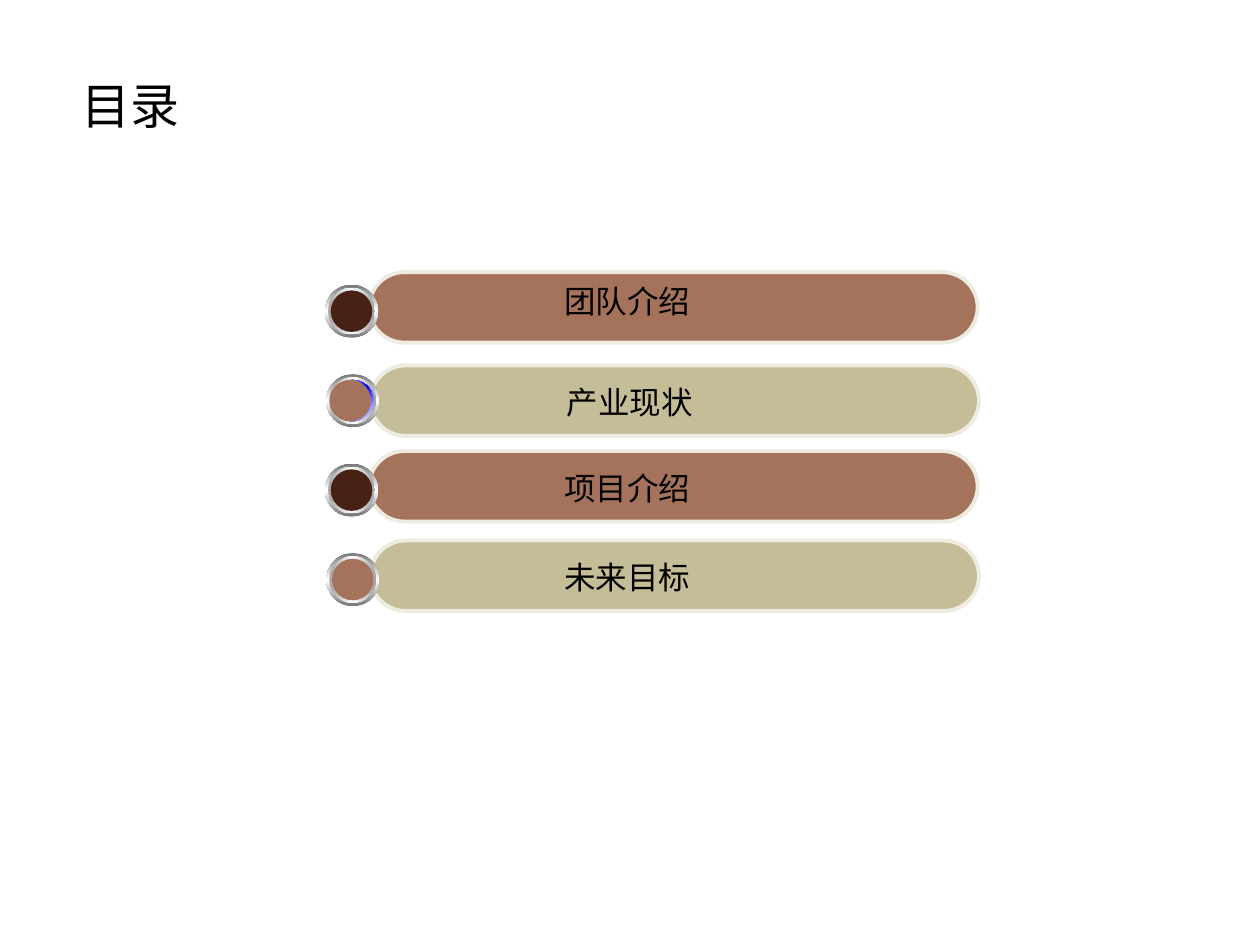
import pptx
import pptx.util
import pptx.dml.color
import pptx.enum.shapes
import pptx.enum.text
import pptx.oxml
import pptx.oxml.ns
import lxml.etree

Inches = pptx.util.Inches
RGBColor = pptx.dml.color.RGBColor
Shapes = pptx.enum.shapes.MSO_SHAPE

BLACK = RGBColor(0x00, 0x00, 0x00)
WHITE = RGBColor(0xFF, 0xFF, 0xFF)
BLUE = RGBColor(0x00, 0x00, 0xFF)
CREAM = RGBColor(0xEE, 0xEC, 0xE1)
CLAY = RGBColor(0xA5, 0x73, 0x5C)
SAND = RGBColor(0xC4, 0xBD, 0x97)
COFFEE = RGBColor(0x47, 0x22, 0x14)
DARK_GREY = RGBColor(0x76, 0x76, 0x76)
LIGHT_GREY = RGBColor(0xA2, 0xA2, 0xA2)
FONT = "Noto Sans CJK SC"

TITLE = "目录"
ENTRIES = [
    {"text": "团队介绍", "label": (4.38, 2.19, 1.2, 0.7), "bar": CLAY, "core": COFFEE},
    {"text": "产业现状", "label": (4.4, 2.99, 1.2, 0.4), "bar": SAND, "core": CLAY,
     "bar_drop": 0.03, "core_shift": -0.02, "glow": True},
    {"text": "项目介绍", "label": (4.38, 3.67, 1.2, 0.4), "bar": CLAY, "core": COFFEE},
    {"text": "未来目标", "label": (4.38, 4.38, 1.2, 0.4), "bar": SAND, "core": CLAY},
]
FIRST_TOP, ROW_STEP, EVEN_SHIFT = 2.16, 0.71, 0.01
BAR_LEFT, BAR_WIDTH, BAR_HEIGHT = 2.93, 4.83, 0.56
KNOB_LEFT, KNOB_DROP = 2.58, 0.1
KNOB_SIZE, RING_SIZE, CORE_SIZE = 0.42, 0.37, 0.33


def add_text(page, text, area, size, wrap=False):
    box = page.shapes.add_textbox(*map(Inches, area))
    frame = box.text_frame
    frame.word_wrap = wrap
    frame.auto_size = pptx.enum.text.MSO_AUTO_SIZE.NONE
    span = frame.paragraphs[0].add_run()
    span.text = text
    span.font.size = pptx.util.Pt(size)
    span.font.name = FONT
    span.font.color.rgb = BLACK
    east_asian = lxml.etree.SubElement(span.font._element, pptx.oxml.ns.qn("a:ea"))
    east_asian.set("typeface", FONT)


def set_gradient(shape, edge, middle, angle):
    shape.fill.gradient()
    gradient = shape._element.spPr.find(pptx.oxml.ns.qn("a:gradFill"))
    stops = "".join(
        f'<a:gs pos="{share * 1000}"><a:srgbClr val="{color}"/></a:gs>'
        for share, color in ((0, edge), (50, middle), (100, edge)))
    gradient.getparent().replace(gradient, pptx.oxml.parse_xml(
        f'<a:gradFill {pptx.oxml.ns.nsdecls("a")} rotWithShape="1"><a:gsLst>{stops}</a:gsLst>'
        f'<a:lin ang="{angle * 60000}" scaled="0"/></a:gradFill>'))


def add_shape(page, kind, area, color=None, gradient=None, outline=None):
    shape = page.shapes.add_shape(kind, *map(Inches, area))
    shape.shadow.inherit = False
    if gradient:
        set_gradient(shape, *gradient)
    else:
        shape.fill.solid()
        shape.fill.fore_color.rgb = color
    if outline:
        shape.line.color.rgb = outline
        shape.line.width = pptx.util.Pt(2.25)
    else:
        shape.line.fill.background()
    return shape


def add_disc(page, left, top, size, **style):
    inset = (KNOB_SIZE - size) / 2
    add_shape(page, Shapes.OVAL, (left + inset, top + inset, size, size), **style)


def add_entry(page, row, entry):
    top = FIRST_TOP + row * ROW_STEP
    shift = row % 2 * EVEN_SHIFT
    bar = add_shape(
        page, Shapes.ROUNDED_RECTANGLE,
        (BAR_LEFT + shift, top + entry.get("bar_drop", 0), BAR_WIDTH, BAR_HEIGHT),
        color=entry["bar"], outline=CREAM)
    bar.adjustments[0] = 0.5
    left, knob_top = KNOB_LEFT + shift, top + KNOB_DROP
    add_disc(page, left, knob_top, KNOB_SIZE, gradient=(DARK_GREY, WHITE, 90))
    add_disc(page, left, knob_top, RING_SIZE, gradient=(LIGHT_GREY, WHITE, 0))
    if entry.get("glow"):
        add_disc(page, left, knob_top, CORE_SIZE, gradient=(WHITE, BLUE, 45))
    add_disc(page, left + entry.get("core_shift", 0), knob_top, CORE_SIZE, color=entry["core"])


def main():
    deck = pptx.Presentation()
    deck.slide_width, deck.slide_height = Inches(10), Inches(7.5)
    page = deck.slides.add_slide(deck.slide_layouts[6])
    for row, entry in enumerate(ENTRIES):
        add_entry(page, row, entry)
    add_text(page, TITLE, (0.55, 0.55, 1.09, 0.57), 28, wrap=True)
    for entry in ENTRIES:
        add_text(page, entry["text"], entry["label"], 18)
    deck.save("out.pptx")


if __name__ == "__main__":
    main()
